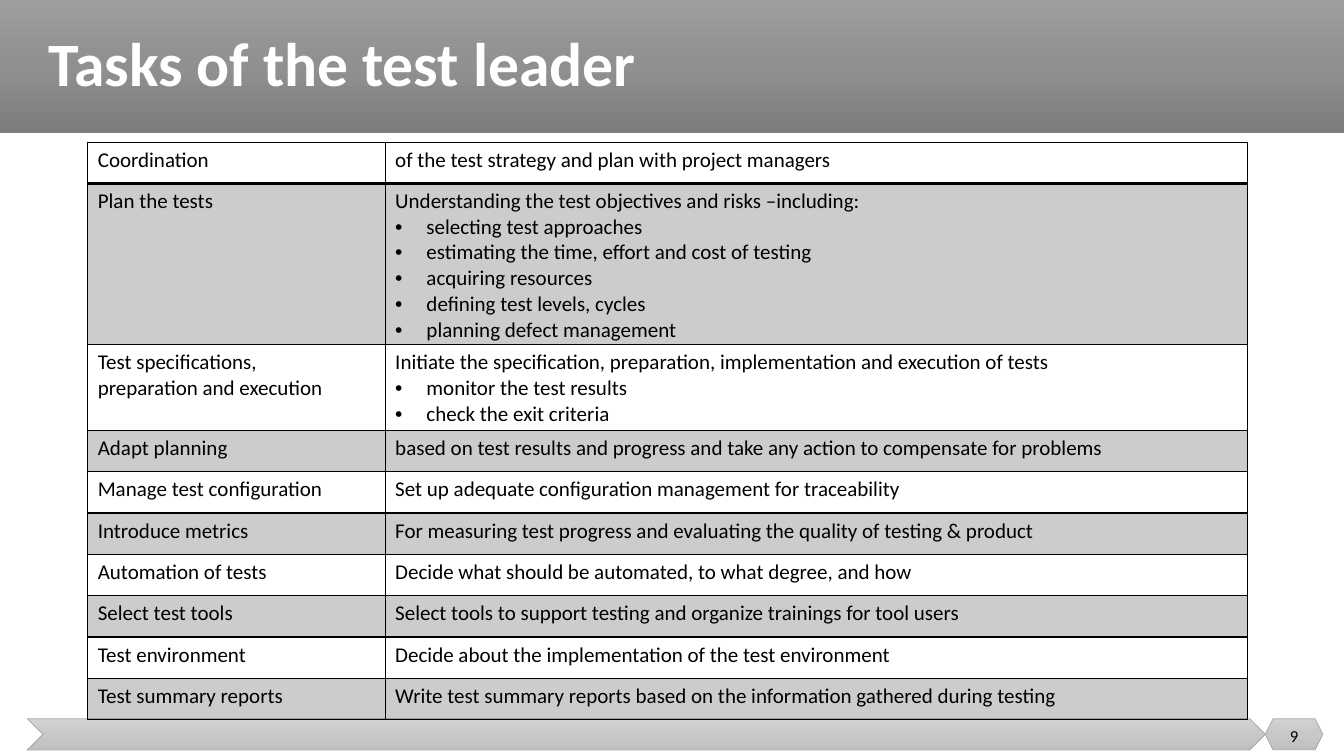
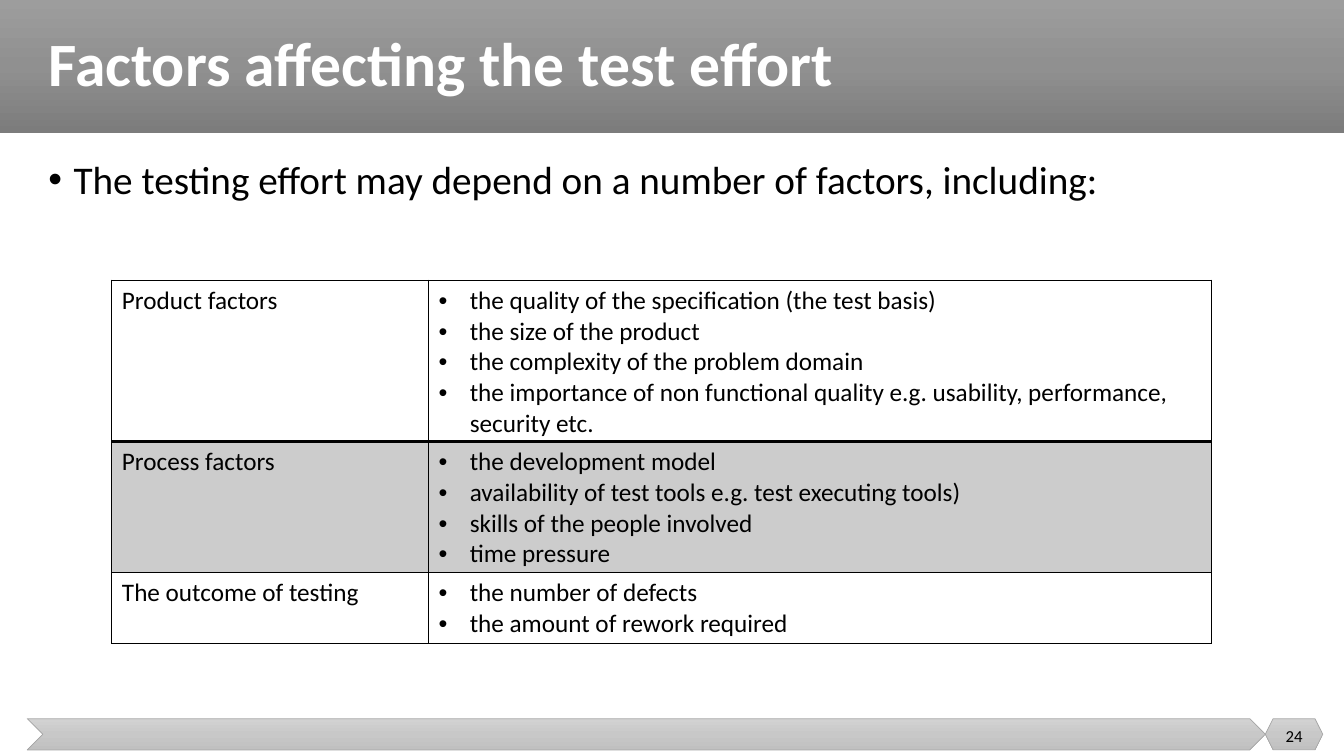
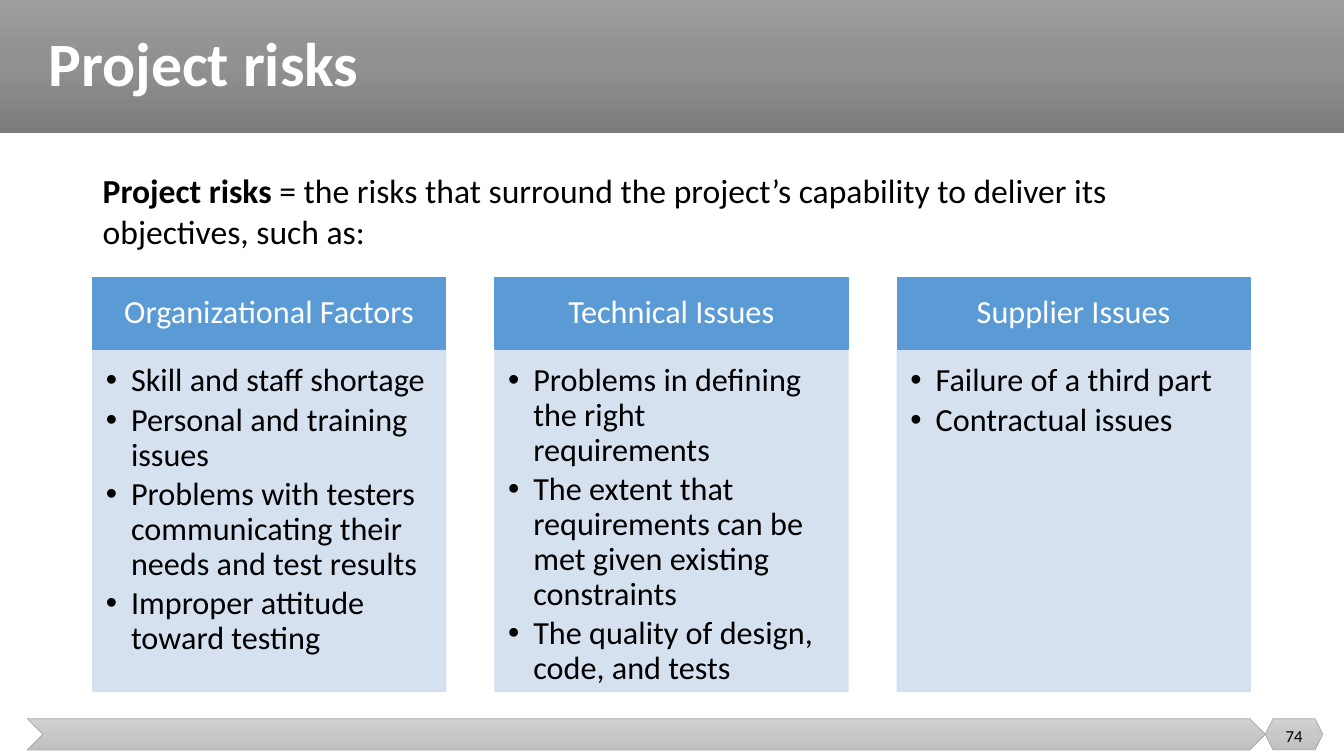
"""Build three slides on test management: leader tasks, effort factors and project risks."""
from copy import deepcopy

from lxml import etree
from pptx import Presentation
from pptx import util as u
from pptx.dml.color import RGBColor
from pptx.enum import shapes, text
from pptx.oxml.ns import qn

FONT = "Calibri"
BLACK = RGBColor(0x00, 0x00, 0x00)
WHITE = RGBColor(0xFF, 0xFF, 0xFF)
BLUE = RGBColor(0x5B, 0x9B, 0xD5)
PALE_BLUE = RGBColor(0xD2, 0xDE, 0xEF)
GREY_LINE = RGBColor(0xA5, 0xA5, 0xA5)
BAND_GREYS = [RGBColor(0x9D, 0x9D, 0x9D), RGBColor(0x90, 0x90, 0x90), RGBColor(0x7C, 0x7C, 0x7C)]
FOOTER_GREYS = [RGBColor(0xD2, 0xD2, 0xD2), RGBColor(0xC8, 0xC8, 0xC8), RGBColor(0xC0, 0xC0, 0xC0)]

TITLE_AND_BODY, TITLE_ONLY = 1, 5
ROW_HEIGHT = 0.41
CARD_LEFT, CARD_WIDTH, CARD_GAP = 0.92, 3.5, 0.49

LEADER_TASKS = [
    (["Coordination"], ["of the test strategy and plan with project managers"], []),
    (["Plan the tests"], ["Understanding the test objectives and risks –including:"],
     ["selecting test approaches", "estimating the time, effort and cost of testing",
      "acquiring resources", "defining test levels, cycles", "planning defect management"]),
    (["Test specifications,", "preparation and execution"],
     ["Initiate the specification, preparation, implementation and execution of tests"],
     ["monitor the test results", "check the exit criteria"]),
    (["Adapt planning"],
     ["based on test results and progress and take any action to compensate for problems"], []),
    (["Manage test configuration"],
     ["Set up adequate configuration management for traceability"], []),
    (["Introduce metrics"],
     ["For measuring test progress and evaluating the quality of testing & product"], []),
    (["Automation of tests"], ["Decide what should be automated, to what degree, and how"], []),
    (["Select test tools"],
     ["Select tools to support testing and organize trainings for tool users"], []),
    (["Test environment"], ["Decide about the implementation of the test environment"], []),
    (["Test summary reports"],
     ["Write test summary reports based on the information gathered during testing"], []),
]

EFFORT_FACTORS = [
    (["Product factors"], [],
     ["the quality of the specification (the test basis)", "the size of the product",
      "the complexity of the problem domain",
      "the importance of non functional quality e.g. usability, performance, security etc."]),
    (["Process factors"], [],
     ["the development model", "availability of test tools e.g. test executing tools)",
      "skills of the people involved", "time pressure"]),
    (["The outcome of testing"], [],
     ["the number of defects", "the amount of rework required"]),
]

RISK_CARDS = [
    ("Organizational Factors",
     ["Skill and staff shortage", "Personal and training issues",
      "Problems with testers communicating their needs and test results",
      "Improper attitude toward testing"]),
    ("Technical Issues",
     ["Problems in defining the right requirements",
      "The extent that requirements can be met given existing constraints",
      "The quality of design, code, and tests"]),
    ("Supplier Issues", ["Failure of a third part", "Contractual issues"]),
]


def inches(*lengths):
    """Return the lengths as a list of Inches."""
    return [u.Inches(length) for length in lengths]


def format_runs(paragraph, size, color=BLACK, bold=False):
    """Set the font of every run in the paragraph."""
    for run in paragraph.runs:
        run.font.name = FONT
        run.font.size = u.Pt(size)
        run.font.color.rgb = color
        run.font.bold = bold


def add_bullet(paragraph, indent):
    """Give the paragraph a round bullet with a hanging indent."""
    properties = paragraph._p.get_or_add_pPr()
    properties.set("marL", str(u.Inches(indent)))
    properties.set("indent", str(-u.Inches(indent)))
    etree.SubElement(properties, qn("a:buFont")).set("typeface", "Arial")
    etree.SubElement(properties, qn("a:buChar")).set("char", "•")


def write_paragraphs(frame, lines, bullets, size, indent):
    """Write plain lines followed by bulleted ones and return the paragraphs."""
    frame.text = "\n".join(lines + bullets)
    for index, paragraph in enumerate(frame.paragraphs):
        if index >= len(lines):
            add_bullet(paragraph, indent)
        format_runs(paragraph, size)
    return frame.paragraphs


def set_opacity(element, percent):
    """Make every RGB colour inside the element partly transparent."""
    for color in element.iter(qn("a:srgbClr")):
        etree.SubElement(color, qn("a:alpha")).set("val", str(percent * 1000))


def add_gradient_shape(slide, kind, box, colors):
    """Add a shape with an even three-stop vertical gradient."""
    shape = slide.shapes.add_shape(kind, *inches(*box))
    shape.shadow.inherit = False
    shape.fill.gradient()
    shape.fill.gradient_angle = 270
    stop_list = next(shape.element.iter(qn("a:gsLst")))
    stop_list.insert(1, deepcopy(stop_list[0]))
    for stop, color, position in zip(shape.fill.gradient_stops, colors, (0, 0.5, 1)):
        stop.color.rgb = color
        stop.position = position
    return shape


def decorate_master(presentation, slide):
    """Draw the title band and footer shapes, then move them to the master."""
    band = add_gradient_shape(slide, shapes.MSO_SHAPE.RECTANGLE, (0, 0, 13.33, 1.32), BAND_GREYS)
    band.line.fill.background()
    chevron = add_gradient_shape(
        slide, shapes.MSO_SHAPE.CHEVRON, (0.27, 7.13, 12.28, 0.31), FOOTER_GREYS)
    hexagon = add_gradient_shape(
        slide, shapes.MSO_SHAPE.HEXAGON, (12.55, 7.13, 0.57, 0.31), FOOTER_GREYS)
    for footer in (chevron, hexagon):
        footer.line.color.rgb = GREY_LINE
        footer.line.width = u.Pt(0.5)
    master_tree = presentation.slide_master.shapes.element
    for index, shape in enumerate((band, chevron, hexagon)):
        shape.element.nvSpPr.cNvPr.set("id", str(20 + index))
        master_tree.insert(2 + index, shape.element)


def place(shape, left, top, width, height):
    """Move and size a placeholder."""
    shape.left, shape.top, shape.width, shape.height = inches(left, top, width, height)


def add_textbox(slide, box):
    """Add a wrapping text box and return its text frame."""
    frame = slide.shapes.add_textbox(*inches(*box)).text_frame
    frame.word_wrap = True
    return frame


def add_slide(presentation, layout, title, number):
    """Add a slide with its title and slide number."""
    slide = presentation.slides.add_slide(presentation.slide_layouts[layout])
    place(slide.shapes.title, 0.38, 0, 12.74, 1.32)
    frame = slide.shapes.title.text_frame
    frame.text = title
    frame.vertical_anchor = text.MSO_ANCHOR.MIDDLE
    frame.auto_size = text.MSO_AUTO_SIZE.NONE
    heading = frame.paragraphs[0]
    heading.alignment = text.PP_ALIGN.LEFT
    heading.line_spacing = 0.9
    format_runs(heading, 44, WHITE, bold=True)

    frame = add_textbox(slide, (12.55, 7.1, 0.57, 0.4))
    frame.text = str(number)
    frame.vertical_anchor = text.MSO_ANCHOR.MIDDLE
    frame.paragraphs[0].alignment = text.PP_ALIGN.CENTER
    format_runs(frame.paragraphs[0], 12)
    return slide


def add_body(slide, bullets):
    """Fill the body placeholder with bullets."""
    body = slide.placeholders[1]
    place(body, 0.38, 1.54, 12.74, 5.19)
    body.text_frame.auto_size = text.MSO_AUTO_SIZE.NONE
    for paragraph in write_paragraphs(body.text_frame, [], bullets, 28, 0.25):
        paragraph.line_spacing = 0.9
        paragraph.space_before = u.Pt(0)


def set_borders(cell, top, bottom):
    """Draw black cell borders, with the top and bottom widths in points."""
    properties = cell._tc.get_or_add_tcPr()
    widths = {"a:lnL": 1, "a:lnR": 1, "a:lnT": top, "a:lnB": bottom}
    for index, (tag, width) in enumerate(widths.items()):
        line = etree.Element(qn(tag), w=str(u.Pt(width)))
        fill = etree.SubElement(line, qn("a:solidFill"))
        etree.SubElement(fill, qn("a:srgbClr")).set("val", str(BLACK))
        properties.insert(index, line)


def add_banded_table(slide, left, top, column_widths, rows, size):
    """Add a two-column table with shaded odd rows and a thick line under the first."""
    table = slide.shapes.add_table(
        len(rows), len(column_widths),
        *inches(left, top, sum(column_widths), ROW_HEIGHT * len(rows))).table
    table.first_row = table.horz_banding = False
    for column, width in zip(table.columns, column_widths):
        column.width = u.Inches(width)
    for row_index, (label, lines, bullets) in enumerate(rows):
        table.rows[row_index].height = u.Inches(ROW_HEIGHT)
        contents = [(label, []), (lines, bullets)]
        for cell, content in zip(table.rows[row_index].cells, contents):
            write_paragraphs(cell.text_frame, *content, size, 0.31)
            if row_index % 2:
                cell.fill.solid()
                cell.fill.fore_color.rgb = BLACK
                set_opacity(cell._tc.get_or_add_tcPr(), 20)
            else:
                cell.fill.background()
            set_borders(cell, 2 if row_index == 1 else 1, 2 if row_index == 0 else 1)


def add_panel(slide, box, color, margins, anchor):
    """Add a flat rectangle that holds text."""
    panel = slide.shapes.add_shape(shapes.MSO_SHAPE.RECTANGLE, *inches(*box))
    panel.shadow.inherit = False
    panel.fill.solid()
    panel.fill.fore_color.rgb = color
    panel.line.color.rgb = color
    panel.line.width = u.Pt(1)
    frame = panel.text_frame
    frame.word_wrap = True
    frame.vertical_anchor = anchor
    (frame.margin_left, frame.margin_top,
     frame.margin_right, frame.margin_bottom) = inches(*margins)
    return panel


def add_risk_card(slide, left, heading, bullets):
    """Add a blue heading above a pale panel of bullets."""
    header = add_panel(slide, (left, 2.75, CARD_WIDTH, 0.72), BLUE,
                       (0.18, 0.1, 0.18, 0.1), text.MSO_ANCHOR.MIDDLE)
    header.text_frame.text = heading
    paragraph = header.text_frame.paragraphs[0]
    paragraph.alignment = text.PP_ALIGN.CENTER
    paragraph.line_spacing = 0.9
    format_runs(paragraph, 23, WHITE)

    panel = add_panel(slide, (left, 3.48, CARD_WIDTH, 3.38), PALE_BLUE,
                      (0.13, 0.13, 0.18, 0.2), text.MSO_ANCHOR.TOP)
    set_opacity(panel.element.spPr, 90)
    for paragraph in write_paragraphs(panel.text_frame, [], bullets, 23, 0.25):
        paragraph.alignment = text.PP_ALIGN.LEFT
        paragraph.line_spacing = 0.9
        paragraph.space_after = u.Pt(3.5)


def add_definition(slide, term, meaning):
    """Add a bold term followed by its meaning."""
    paragraph = add_textbox(slide, (0.92, 1.64, 11.5, 0.91)).paragraphs[0]
    for part in (term, meaning):
        paragraph.add_run().text = part
    format_runs(paragraph, 24)
    paragraph.runs[0].font.bold = True


def main():
    """Build and save the presentation."""
    presentation = Presentation()
    presentation.slide_width, presentation.slide_height = inches(13.33, 7.5)

    slide = add_slide(presentation, TITLE_ONLY, "Tasks of the test leader", 9)
    decorate_master(presentation, slide)
    add_banded_table(slide, 0.87, 1.41, (2.95, 8.55), LEADER_TASKS, 15)

    slide = add_slide(presentation, TITLE_AND_BODY, "Factors affecting the test effort", 24)
    add_body(slide, ["The testing effort may depend on a number of factors, including:"])
    add_banded_table(slide, 1.11, 2.78, (3.14, 7.77), EFFORT_FACTORS, 18)

    slide = add_slide(presentation, TITLE_ONLY, "Project risks", 74)
    add_definition(slide, "Project risks ",
                   "= the risks that surround the project’s capability to deliver its "
                   "objectives, such as:")
    for index, (heading, bullets) in enumerate(RISK_CARDS):
        add_risk_card(slide, CARD_LEFT + index * (CARD_WIDTH + CARD_GAP), heading, bullets)

    presentation.save("out.pptx")


if __name__ == "__main__":
    main()
